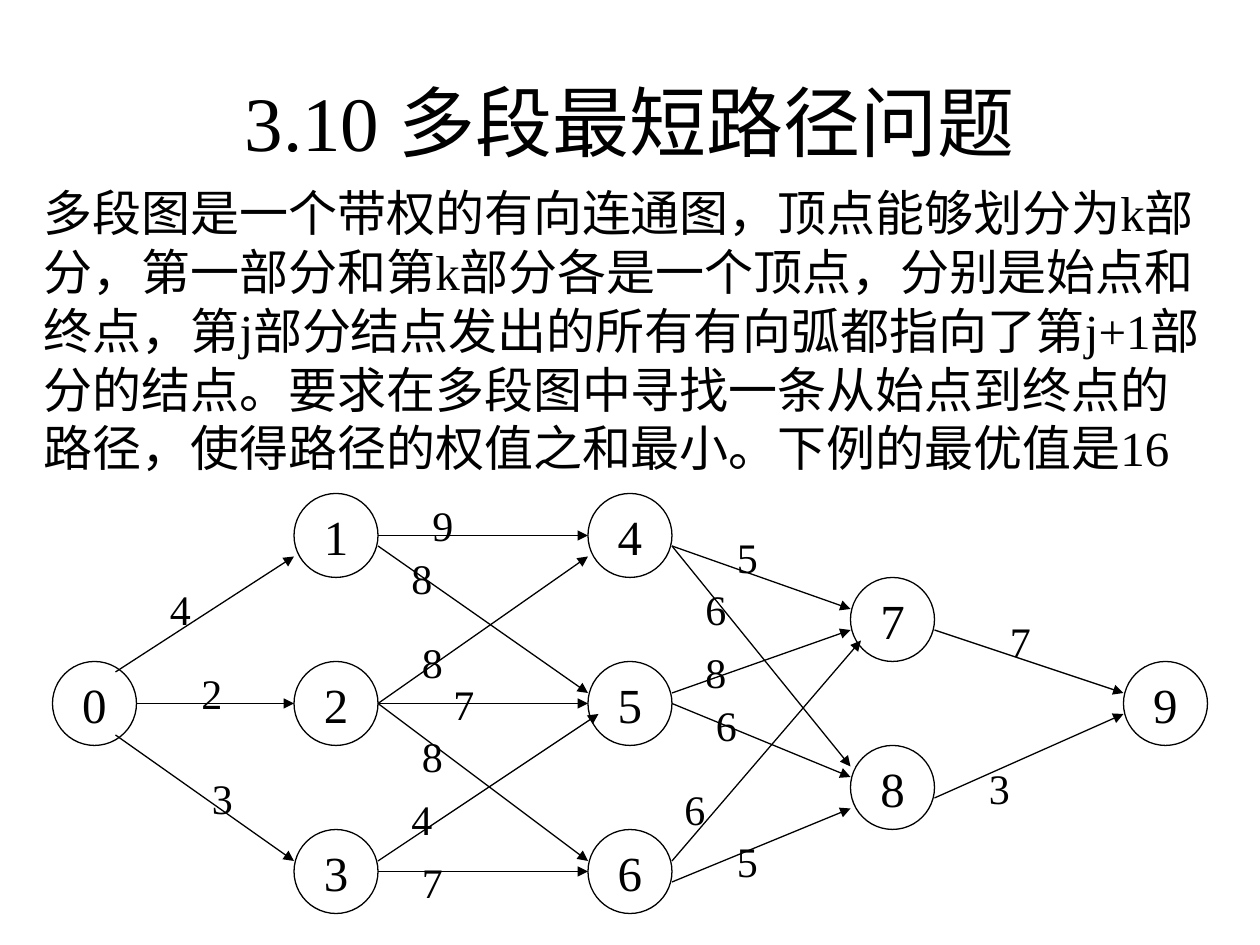
from lxml import etree
from pptx import Presentation
from pptx.dml.color import RGBColor
from pptx.enum.shapes import MSO_CONNECTOR, MSO_SHAPE
from pptx.enum.text import MSO_ANCHOR, PP_ALIGN
from pptx.oxml.ns import qn
from pptx.util import Inches, Pt

LINE = MSO_CONNECTOR.STRAIGHT
OVAL = MSO_SHAPE.OVAL
TOP, MID = MSO_ANCHOR.TOP, MSO_ANCHOR.MIDDLE
LEFT, CENTER = PP_ALIGN.LEFT, PP_ALIGN.CENTER
BLACK = RGBColor(0, 0, 0)
WHITE = RGBColor(255, 255, 255)

CELL = Inches(1) // 12
NODE = 8
FONT = {"name": "Times New Roman"}
INSET = {
    "margin_left": Inches(0.1), "margin_right": Inches(0.1),
    "margin_top": Inches(0.05), "margin_bottom": Inches(0.05),
}

TITLE = "3.10 多段最短路径问题"
BODY = (
    "多段图是一个带权的有向连通图，顶点能够划分为k部分，"
    "第一部分和第k部分各是一个顶点，分别是始点和终点，"
    "第j部分结点发出的所有有向弧都指向了第j+1部分的结点。"
    "要求在多段图中寻找一条从始点到终点的路径，"
    "使得路径的权值之和最小。下例的最优值是16"
)

# Stage column and the rows of its nodes.
STAGES = [(0, [16]), (23, [0, 16, 32]), (51, [0, 16, 32]),
          (76, [8, 24]), (102, [16])]

# From, to, inset and drop at each end, weight, label column and row.
EDGES = [
    (0, 1, 2, -3, 0, 2, 4, 10, 8),
    (0, 2, 0, 0, 0, 0, 2, 13, 16),
    (0, 3, 2, 3, 0, -1, 3, 14, 26),
    (1, 4, 0, 0, 0, 0, 9, 35, 0),
    (1, 5, 0, 1, 0, -1, 8, 33, 5),
    (2, 4, 0, 0, 0, 2, 8, 34, 13),
    (2, 5, 0, 0, 0, 0, 7, 37, 17),
    (2, 6, 0, 0, 0, -1, 8, 34, 22),
    (3, 5, 0, -1, 1, 1, 4, 33, 28),
    (3, 6, 0, 0, 0, 0, 7, 34, 34),
    (4, 7, 0, 1, 0, -1, 5, 64, 3),
    (4, 8, 0, 1, 0, -2, 6, 61, 8),
    (5, 7, 0, -1, 0, 1, 8, 61, 14),
    (5, 8, 0, 0, 0, -1, 6, 62, 19),
    (6, 7, 0, -1, 1, 2, 6, 59, 27),
    (6, 8, 0, 1, 0, 2, 5, 64, 32),
    (7, 9, 0, 1, 0, -1, 7, 90, 11),
    (8, 9, 0, 1, 0, 1, 3, 88, 25),
]


def grid(*vals):
    """Turn grid cells into slide lengths."""
    return [round(v * CELL) for v in vals]


def put(obj, vals):
    """Set each named value on an object."""
    for key, val in vals.items():
        setattr(obj, key, val)


def write(shape, text, size, anchor=TOP, align=LEFT, wrap=True):
    """Fill a shape with one paragraph of text."""
    frame = shape.text_frame
    put(frame, {**INSET, "word_wrap": wrap, "vertical_anchor": anchor})
    para = frame.paragraphs[0]
    para.alignment = align
    run = para.add_run()
    run.text = text
    put(run.font, {**FONT, "size": Pt(size)})
    run.font.color.rgb = BLACK


def label(slide, box, text, size, **form):
    """Place a text box on the grid."""
    write(slide.shapes.add_textbox(*grid(*box)), text, size, **form)


def node(slide, x, y, text):
    """Draw one numbered vertex."""
    shape = slide.shapes.add_shape(OVAL, *grid(x, y, NODE, NODE))
    shape.shadow.inherit = False
    shape.fill.solid()
    shape.fill.fore_color.rgb = WHITE
    shape.line.color.rgb = BLACK
    shape.line.width = Pt(0.75)
    write(shape, text, 28, MID, CENTER, False)


def arrow(slide, *ends):
    """Draw a thin line with an arrowhead at its end."""
    link = slide.shapes.add_connector(LINE, *grid(*ends))
    link.line.color.rgb = BLACK
    link.line.width = Pt(0.75)
    stroke = link.line._get_or_add_ln()
    etree.SubElement(stroke, qn("a:tailEnd"), type="triangle")
    etree.SubElement(link._element.spPr, qn("a:effectLst"))


def graph(slide, left, top):
    """Draw the staged graph from its top left cell."""
    spots = [(left + x, top + y) for x, rows in STAGES for y in rows]
    for num, (x, y) in enumerate(spots):
        node(slide, x, y, str(num))
    half = NODE / 2
    for a, b, in_a, dy_a, in_b, dy_b, cost, col, row in EDGES:
        (xa, ya), (xb, yb) = spots[a], spots[b]
        arrow(slide, xa + NODE - in_a, ya + half + dy_a,
              xb + in_b, yb + half + dy_b)
        label(slide, (left + col, top + row, 5, 6), str(cost), 24)


def main():
    """Build and save the slide."""
    deck = Presentation()
    put(deck, {"slide_width": 120 * CELL, "slide_height": 90 * CELL})
    slide = deck.slides.add_slide(deck.slide_layouts[6])
    label(slide, (9, 4, 102, 15), TITLE, 44, anchor=MID, align=CENTER)
    label(slide, (3, 16.8, 114, 34.8), BODY, 28)
    graph(slide, 5, 47)
    deck.save("out.pptx")


if __name__ == "__main__":
    main()
